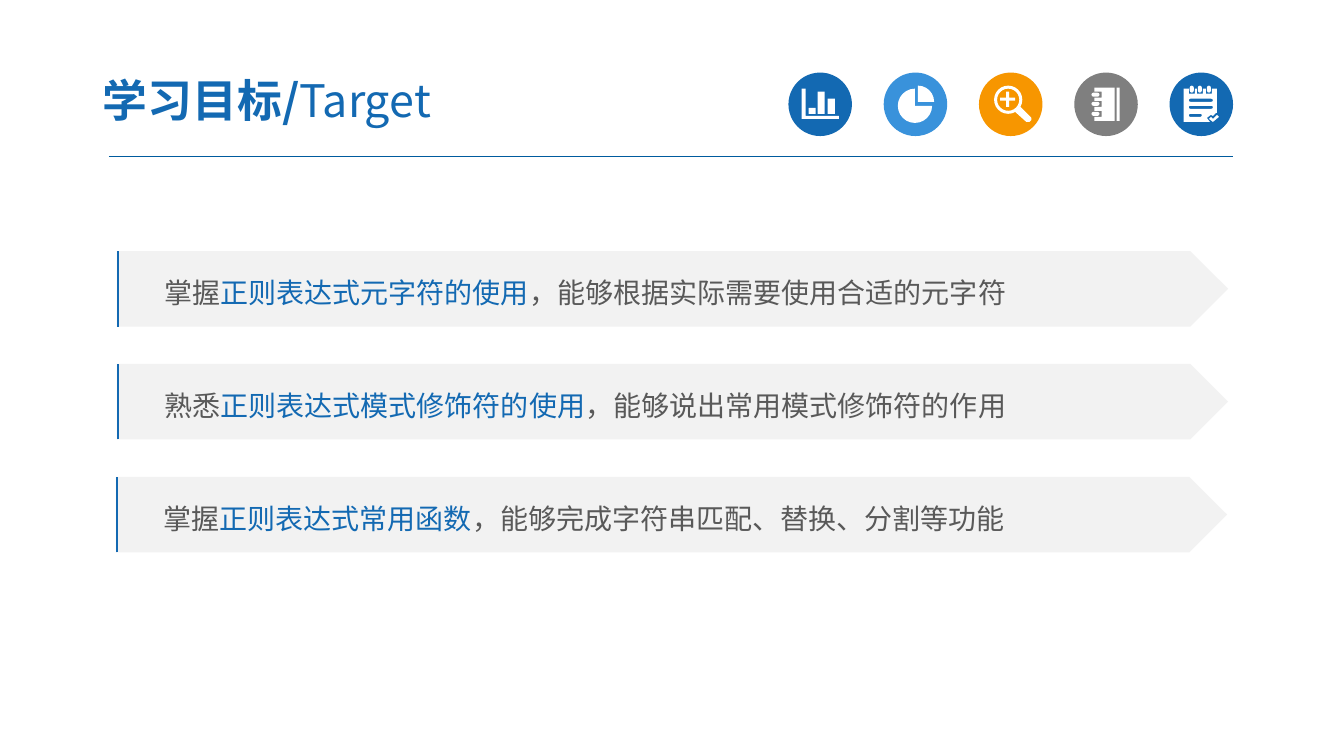
import math

import pptx
import pptx.util
import pptx.dml.color
import pptx.enum.shapes
import pptx.enum.text
import pptx.oxml.ns
import lxml.etree

Inches = pptx.util.Inches
SHAPE = pptx.enum.shapes.MSO_SHAPE
FONT = "Noto Sans CJK SC"
BLUE, SKY, ORANGE, GRAY = "1369B2", "3992DB", "F79600", "7F7F7F"
WHITE, PALE, INK, RULE = "FFFFFF", "F2F2F2", "595959", "005B9E"

DISC = 0.63
GOALS = [
    (1.16, ("掌握", "正则表达式元字符的使用", "，能够根据实际需要使用合适的元字符")),
    (1.16, ("熟悉", "正则表达式模式修饰符的使用", "，能够说出常用模式修饰符的作用")),
    (1.15, ("掌握", "正则表达式常用函数", "，能够完成字符串匹配、替换、分割等功能")),
]


def color(hex_text):
    return pptx.dml.color.RGBColor.from_string(hex_text)


def paint(shape, fill):
    shape.shadow.inherit = False
    shape.fill.solid()
    shape.fill.fore_color.rgb = color(fill)
    shape.line.fill.background()


def add_part(page, kind, left, top, width, height, fill):
    shape = page.shapes.add_shape(
        kind, Inches(left), Inches(top), Inches(width), Inches(height))
    paint(shape, fill)
    return shape


def add_line(page, start, end, stroke, weight):
    line = page.shapes.add_connector(
        pptx.enum.shapes.MSO_CONNECTOR.STRAIGHT,
        *[Inches(value) for value in start + end])
    line.line.color.rgb = color(stroke)
    line.line.width = pptx.util.Pt(weight)
    properties = line._element.spPr
    lxml.etree.SubElement(properties, pptx.oxml.ns.qn("a:effectLst"))


def add_span(para, text, size, fill, bold=False):
    span = para.add_run()
    span.text = text
    span.font.size = pptx.util.Pt(size)
    span.font.bold = bold
    span.font.color.rgb = color(fill)
    span.font.name = FONT
    east_asian = lxml.etree.SubElement(
        span._r.get_or_add_rPr(), pptx.oxml.ns.qn("a:ea"))
    east_asian.set("typeface", FONT)


# Contours, in inches from the left and top of a disc
def arc(x, y, radius, start, end, step=15):
    angles = [math.radians(angle) for angle in range(start, end + 1, step)]
    return [(x + radius * math.cos(angle), y + radius * math.sin(angle))
            for angle in angles]


def pill(left, top, width, height):
    radius = min(width, height) / 2
    right, bottom = left + width - radius, top + height - radius
    left, top = left + radius, top + radius
    return (arc(left, top, radius, 180, 270, 45) + arc(right, top, radius, 270, 360, 45)
            + arc(right, bottom, radius, 0, 90, 45) + arc(left, bottom, radius, 90, 180, 45))


def box(left, top, width, height):
    right, bottom = left + width, top + height
    return [(left, top), (right, top), (right, bottom), (left, bottom)]


def bar_chart():
    axis = [(0.13, 0.16), (0.17, 0.16), (0.17, 0.43),
            (0.5, 0.43), (0.5, 0.46), (0.13, 0.46)]
    bars = [(0.2, 0.06), (0.29, 0.22), (0.39, 0.15)]
    return [axis] + [box(x, 0.41 - height, 0.07, height) for x, height in bars]


def pie():
    return [[(0.31, 0.33)] + arc(0.31, 0.33, 0.17, 0, 270),
            [(0.34, 0.29)] + arc(0.34, 0.29, 0.16, 270, 360)]


def magnifier():
    handle = [(0.52, 0.45), (0.52, 0.47), (0.5, 0.49), (0.47, 0.49)]
    lens = arc(0.29, 0.27, 0.14, 60, 390) + handle
    plus = [(0.21, 0.25), (0.27, 0.25), (0.27, 0.19), (0.3, 0.19),
            (0.3, 0.25), (0.36, 0.25), (0.36, 0.28), (0.3, 0.28),
            (0.3, 0.34), (0.27, 0.34), (0.27, 0.28), (0.21, 0.28)]
    return [lens, arc(0.29, 0.27, 0.11, 0, 345), plus]


def notebook():
    middles = (0.22, 0.31, 0.41)
    cover = [(0.4, 0.48), (0.4, 0.15), (0.2, 0.15)]
    for middle in middles:
        cover += [(0.2, middle - 0.03), (0.27, middle - 0.03),
                  (0.27, middle + 0.03), (0.2, middle + 0.03)]
    cover.append((0.2, 0.48))
    rings = [pill(0.17, middle - 0.02, 0.08, 0.04) for middle in middles]
    return [cover, box(0.42, 0.15, 0.03, 0.33)] + rings


def checklist():
    middles = (0.22, 0.3, 0.39)
    sheet = [(0.14, 0.49), (0.14, 0.16)]
    for middle in middles:
        sheet += [(middle - 0.03, 0.16), (middle - 0.03, 0.21),
                  (middle + 0.03, 0.21), (middle + 0.03, 0.16)]
    sheet += [(0.47, 0.16), (0.47, 0.4), (0.46, 0.4), (0.43, 0.43),
              (0.41, 0.42), (0.37, 0.45), (0.4, 0.49)]
    rings = [pill(middle - 0.02, 0.13, 0.04, 0.07) for middle in middles]
    lines = [pill(0.19, y, width, 0.03)
             for y, width in ((0.26, 0.24), (0.33, 0.24), (0.41, 0.13))]
    check = [(0.39, 0.46), (0.41, 0.44), (0.43, 0.46),
             (0.47, 0.42), (0.49, 0.44), (0.43, 0.49)]
    return [sheet, check] + rings + lines


def add_icon(page, left, top, fill, contours):
    add_part(page, SHAPE.OVAL, left, top, DISC, DISC, fill)
    outlines = [[(Inches(left + x), Inches(top + y)) for x, y in contour]
                for contour in contours]
    builder = page.shapes.build_freeform(*outlines[0][0])
    for outline in outlines:
        if outline is not outlines[0]:
            builder.move_to(*outline[0])
        builder.add_line_segments(outline[1:], close=True)
    paint(builder.convert_to_shape(), WHITE)


def add_icons(page, left, top, width):
    icons = [(BLUE, bar_chart()), (SKY, pie()), (ORANGE, magnifier()),
             (GRAY, notebook()), (BLUE, checklist())]
    pitch = (width - DISC) / (len(icons) - 1)
    for index, (fill, contours) in enumerate(icons):
        add_icon(page, left + index * pitch, top, fill, contours)


def add_title(page, left, top, width, height):
    title = page.shapes.title
    title.left, title.top = Inches(left), Inches(top)
    title.width, title.height = Inches(width), Inches(height)
    frame = title.text_frame
    frame.auto_size = pptx.enum.text.MSO_AUTO_SIZE.NONE
    frame.vertical_anchor = pptx.enum.text.MSO_ANCHOR.MIDDLE
    frame.margin_left = frame.margin_right = Inches(0.13)
    frame.margin_top = frame.margin_bottom = Inches(0.07)
    para = frame.paragraphs[0]
    para.alignment = pptx.enum.text.PP_ALIGN.LEFT
    para.line_spacing = 1.0
    para.space_before = pptx.util.Pt(0)
    add_span(para, "学习目标/", 32, BLUE, bold=True)
    add_span(para, "Target", 32, BLUE)


def add_goal(page, left, top, width, height, goal):
    bar = add_part(page, SHAPE.PENTAGON, left, top, width, height, PALE)
    frame = bar.text_frame
    frame.word_wrap = True
    frame.vertical_anchor = pptx.enum.text.MSO_ANCHOR.MIDDLE
    frame.margin_left = Inches(0.47)
    para = frame.paragraphs[0]
    para.alignment = pptx.enum.text.PP_ALIGN.LEFT
    para.line_spacing = 1.2
    for text, fill in zip(goal, (INK, BLUE, INK)):
        add_span(para, text, 20, fill)
    edge = left + 0.01
    add_line(page, (edge, top + height), (edge, top), BLUE, 1.5)


def main():
    deck = pptx.Presentation()
    deck.slide_width, deck.slide_height = Inches(13.33), Inches(7.5)
    page = deck.slides.add_slide(deck.slide_layouts.get_by_name("Title Only"))

    # Header
    add_line(page, (1.08, 1.55), (12.23, 1.55), RULE, 0.75)
    add_icons(page, 7.82, 0.72, 4.41)
    add_title(page, 0.89, 0.63, 5.22, 0.72)

    # Learning goals
    for index, (left, goal) in enumerate(GOALS):
        add_goal(page, left, 2.49 + index * 1.12, 11.02, 0.75, goal)

    deck.save("out.pptx")


if __name__ == "__main__":
    main()
